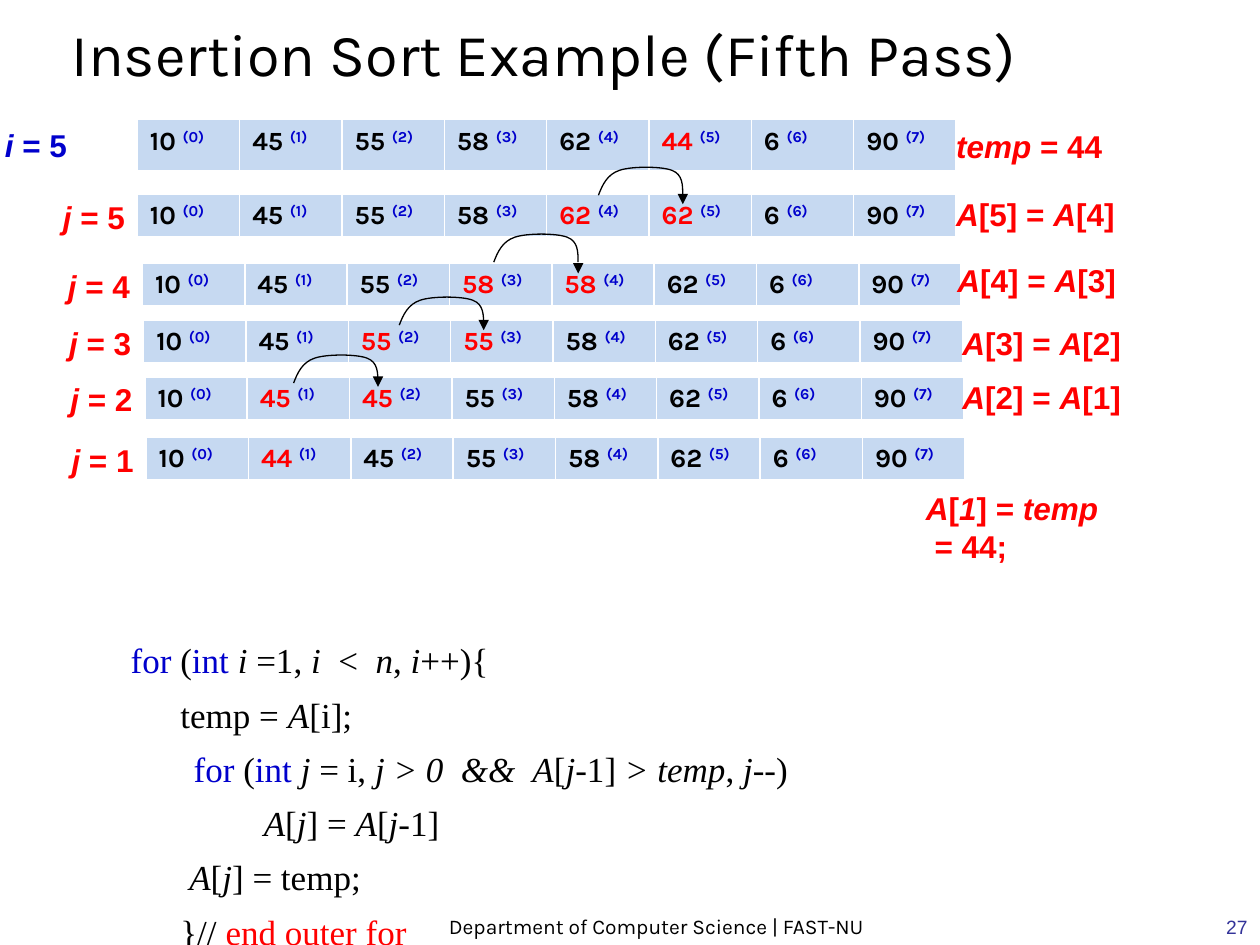
"""Build a slide that traces the fifth pass of insertion sort."""
from dataclasses import dataclass

from lxml.etree import SubElement
from pptx import Presentation
from pptx.dml.color import RGBColor
from pptx.enum.shapes import MSO_CONNECTOR
from pptx.enum.text import MSO_ANCHOR, PP_ALIGN
from pptx.oxml import parse_xml
from pptx.oxml.ns import nsdecls, qn
from pptx.util import Pt


@dataclass(frozen=True)
class Theme:
    """Colours, fonts and type sizes of the slide."""
    ink: str = "000000"
    blue: str = "0000CC"
    red: str = "FF0000"
    page: str = "333399"
    cell: str = "C6D9F1"
    edge: str = "FFFFFF"
    head: str = "Karla"
    sans: str = "Arial"
    code: str = "Times New Roman"
    title: float = 34
    body: float = 20
    label: float = 18
    item: float = 15
    foot: float = 12
    num: float = 11


T = Theme()
COL = 58.5
START = [10, 45, 55, 58, 62, 44, 6, 90]
ROWS = [(78.5, 110.9), (81.4, 150.5), (82.1, 182.9), (82.8, 215.3), (83.5, 249.8)]
NOTES = [(539.3, 108), (540, 145.4), (542.9, 181.4), (542.9, 212.4)]
ARCS = [(342, 95), (282.2, 133.2), (228.2, 169.2), (167.8, 202.3)]
CURVE = [(0, 16.6), (2.2, 10.8), (5, 4.7), (12, 2.4), (18.7, 0),
         (36, 0), (42, 2.4), (48.2, 4.7), (48.2, 10.8), (48.2, 16.6)]
CODE = [
    [("\tfor", T.blue), (" (", T.ink), ("int ", T.blue),
     ("*i *=1, *i  *<  *n*, *i*++){", T.ink)],
    [("          temp = *A*[i];", T.ink)],
    [("\t\t", T.ink), ("for", T.blue), (" (", T.ink), ("int ", T.blue),
     ("*j *= i, *j > 0  &&  A*[*j*-1]* > temp*, *j*--)", T.ink)],
    [("\t\t        *A*[*j*] = *A*[*j*-1]", T.ink)],
    [("           *A*[*j*] = temp;", T.ink)],
    [("          }// ", T.ink), ("end outer for", T.red)],
]


def tint(text):
    """Turn a hex string into a colour."""
    return RGBColor.from_string(text)


def write(par, text, size=T.label, font=T.sans, color=T.red, bold=False, lift=False):
    """Add text to a paragraph, with italics between asterisks."""
    for n, part in enumerate(text.split("*")):
        if part:
            run = par.add_run()
            run.text = part
            face = run.font
            face.size, face.name = Pt(size), font
            face.bold, face.italic = bold, n % 2 == 1
            face.color.rgb = tint(color)
            if lift:
                run._r.get_or_add_rPr().set("baseline", "30000")


def frame(slide, x, y, w, h, wrap=True, anchor=MSO_ANCHOR.TOP):
    """Add an empty text box and return its frame."""
    box = slide.shapes.add_textbox(Pt(x), Pt(y), Pt(w), Pt(h)).text_frame
    box.word_wrap, box.vertical_anchor = wrap, anchor
    return box


def line(slide, text, x, y, w, h, align=PP_ALIGN.LEFT, **form):
    """Add one bottom-anchored line of text."""
    par = frame(slide, x, y, w, h, anchor=MSO_ANCHOR.BOTTOM).paragraphs[0]
    par.alignment = align
    write(par, text, **form)


def label(slide, x, y, w, *lines, color=T.red):
    """Add a bold label that does not wrap."""
    box = frame(slide, x, y, w, 7.2 + 21.6 * len(lines), wrap=False)
    for n, text in enumerate(lines):
        par = box.add_paragraph() if n else box.paragraphs[0]
        write(par, text, color=color, bold=True)


def border(cell):
    """Give a cell white edges, the lowest one thicker."""
    props = cell._tc.get_or_add_tcPr()
    for n, (side, wide) in enumerate(zip("LRTB", (1, 1, 1, 3))):
        props.insert(n, parse_xml(
            f'<a:ln{side} {nsdecls("a")} w="{Pt(wide)}"><a:solidFill>'
            f'<a:srgbClr val="{T.edge}"/></a:solidFill></a:ln{side}>'))


def array(slide, x, y, high, nums, marks):
    """Draw the array as a table, with marked numbers in red."""
    size = len(nums)
    table = slide.shapes.add_table(1, size, Pt(x), Pt(y), Pt(COL * size), Pt(high)).table
    table.first_row = table.horz_banding = False
    for n, num in enumerate(nums):
        cell = table.cell(0, n)
        cell.fill.solid()
        cell.fill.fore_color.rgb = tint(T.cell)
        border(cell)
        form = dict(size=T.item, font=T.head, bold=True)
        par = cell.text_frame.paragraphs[0]
        write(par, f"{num} ", color=T.red if n in marks else T.ink, **form)
        write(par, f"({n})", color=T.blue, lift=True, **form)


def arc(slide, x, y, tip):
    """Draw a curved move that ends in an arrow at the given row top."""
    pen = slide.shapes.build_freeform(*(Pt(v) for v in (x, y + CURVE[0][1])))
    pen.add_line_segments([(Pt(x + a), Pt(y + b)) for a, b in CURVE[1:]], close=False)
    shape = pen.convert_to_shape()
    shape.shadow.inherit = False
    shape.fill.background()
    track = shape._element.find(".//" + qn("a:path"))
    legs = track.findall(qn("a:lnTo"))
    for n in range(0, len(legs), 3):
        bend = SubElement(track, qn("a:cubicBezTo"))
        for leg in legs[n:n + 3]:
            bend.append(leg[0])
            track.remove(leg)
    end = x + CURVE[-1][0]
    arrow = slide.shapes.add_connector(
        MSO_CONNECTOR.STRAIGHT, Pt(end), Pt(tip), Pt(end), Pt(tip + 5.8))
    for item in (shape, arrow):
        item.line.color.rgb = tint(T.ink)
        item.line.width = Pt(0.75)
    SubElement(arrow.line._get_or_add_ln(), qn("a:tailEnd"), type="triangle")
    SubElement(arrow._element.spPr, qn("a:effectLst"))


def trace(slide):
    """Draw each step of the pass with its labels and moves."""
    nums = START[:]
    temp = nums[5]
    array(slide, 78.5, 68.4, 30.2, nums, {5})
    label(slide, -4.3, 68.4, 49.7, "*i* = 5", color=T.blue)
    label(slide, 539.3, 69.1, 97.9, "*temp* = 44")
    for n, (x, y) in enumerate(ROWS):
        j = 5 - n
        nums[j] = nums[j - 1] if j > 1 else temp
        array(slide, x, y, 25.2, nums, {j - 1, j} if j > 1 else {j})
        label(slide, x - 49.7, y - 1.4, 49.7, f"*j* = {j}")
    for n, (x, y) in enumerate(NOTES):
        label(slide, x, y, 105.1, f"*A*[{5 - n}] = *A*[{4 - n}]")
        arc(slide, *ARCS[n], ROWS[n][1])
    label(slide, 522, 275.8, 113, "*A*[*1*] = *temp*", " = 44;")


def listing(slide):
    """Write the code of the algorithm."""
    box = frame(slide, 46, 361.5, 570, 168)
    for n, parts in enumerate(CODE):
        par = box.add_paragraph() if n else box.paragraphs[0]
        props = par._p.get_or_add_pPr()
        props.set("marL", str(Pt(21.6)))
        props.set("indent", str(Pt(-21.6)))
        if n:
            par.space_before = Pt(7)
        for text, color in parts:
            write(par, text, size=T.body, font=T.code, color=color)


def main():
    """Build and save the slide."""
    deck = Presentation()
    deck.slide_width, deck.slide_height = Pt(720), Pt(540)
    slide = deck.slides.add_slide(deck.slide_layouts[6])
    line(slide, "Insertion Sort Example (Fifth Pass)", 33.8, 1.4, 596.2, 52.6,
         size=T.title, font=T.head, color=T.ink)
    trace(slide)
    listing(slide)
    line(slide, "Department of Computer Science | FAST-NU", 198, 509.8, 354.2, 30.2,
         align=PP_ALIGN.CENTER, size=T.foot, font=T.head, color=T.ink)
    line(slide, "27", 570, 504, 150, 36, align=PP_ALIGN.RIGHT, size=T.num, color=T.page)
    deck.save("out.pptx")


if __name__ == "__main__":
    main()
